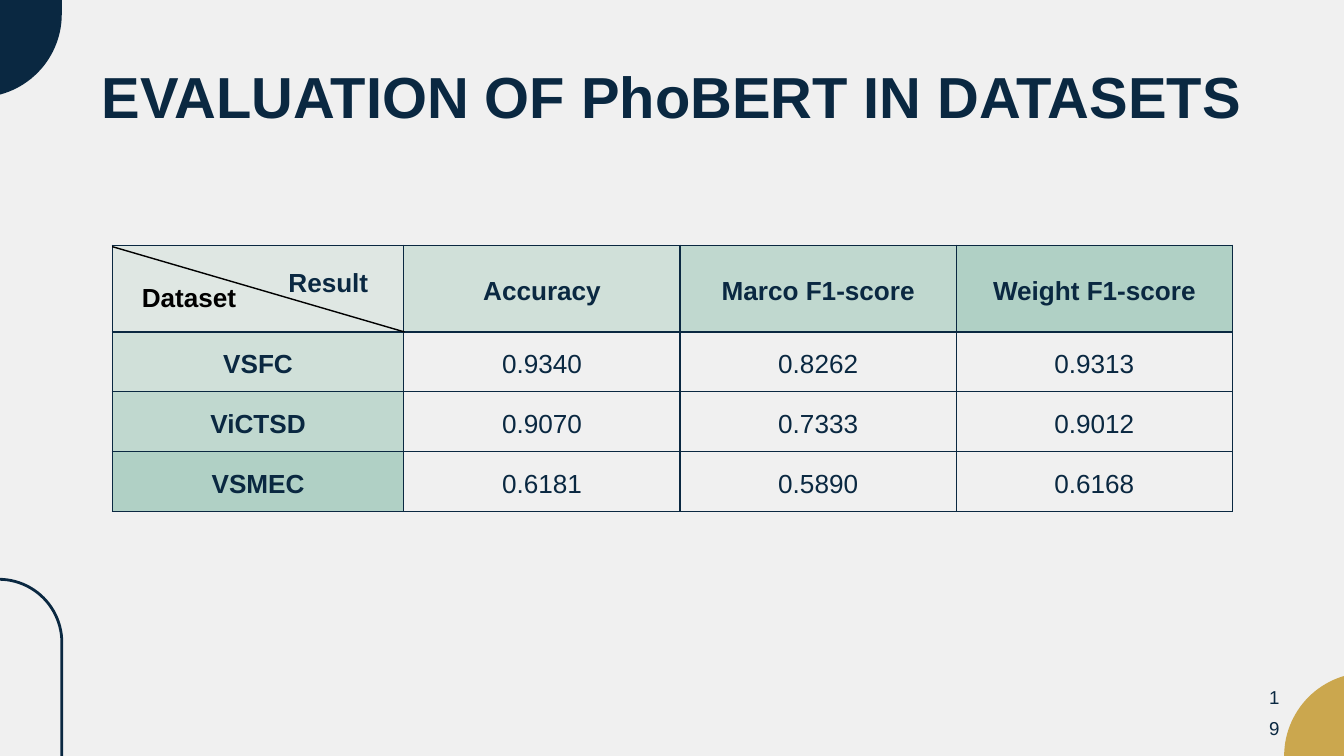
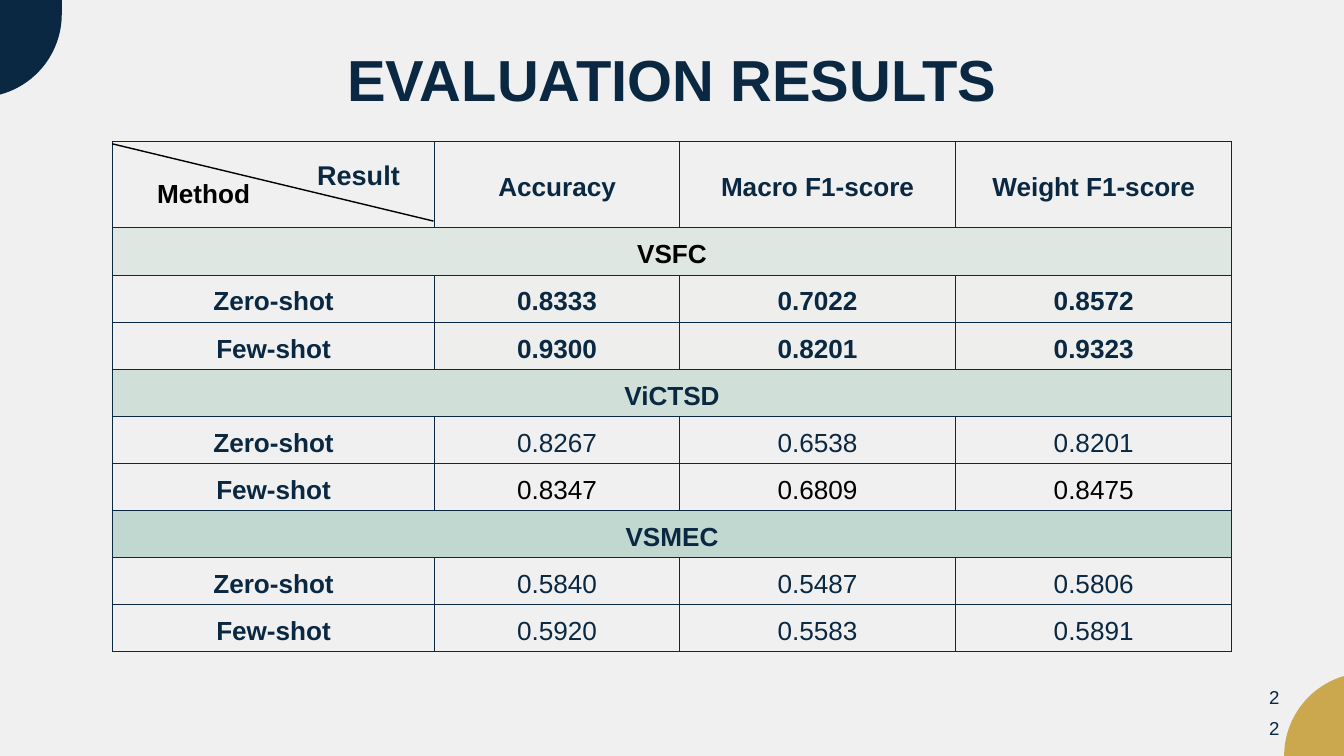
import math

from lxml import etree
from pptx import Presentation
from pptx import util as u
from pptx.dml.color import RGBColor
from pptx.enum import shapes, text
from pptx.oxml import ns

NAVY = RGBColor(0x0A, 0x28, 0x41)
GOLD = RGBColor(0xCB, 0xA7, 0x4E)
BLACK = RGBColor(0, 0, 0)
PAPER = RGBColor(0xF0, 0xF0, 0xF0)
BEST = RGBColor(0xEE, 0xEE, 0xEC)
GREENS = [RGBColor(0xDF, 0xE7, 0xE3), RGBColor(0xD0, 0xE0, 0xD9),
          RGBColor(0xC0, 0xD8, 0xCF), RGBColor(0xB0, 0xD0, 0xC5)]

TABLE_LEFT = 1.67
RADIUS = 1.24
QUARTER = [math.radians(3 * step) for step in range(31)]
NAVY_CORNER = [(-0.32, -0.02), (0.92, -0.02)] + [
    (-0.32 + RADIUS * math.cos(a), 0.21 + RADIUS * math.sin(a)) for a in QUARTER]
GOLD_CORNER = [(20.35, 11.25)] + [
    (20.35 - RADIUS * math.cos(a), 11.25 - RADIUS * math.sin(a)) for a in QUARTER]

PAGES = [
    dict(title="EVALUATION OF PhoBERT IN DATASETS", title_top=0.7, number="19",
         top=3.65, cols=[4.34, 4.11, 4.11, 4.11], heights=[1.29] + [0.89] * 3,
         rows=[["Dataset", "Accuracy", "Marco F1-score", "Weight F1-score"],
               ["VSFC", "0.9340", "0.8262", "0.9313"],
               ["ViCTSD", "0.9070", "0.7333", "0.9012"],
               ["VSMEC", "0.6181", "0.5890", "0.6168"]],
         fills={(0, col): green for col, green in enumerate(GREENS)}
         | {(row, 0): GREENS[row] for row in (1, 2, 3)},
         bold_rows=[0], black_cells=[(0, 0)], corner_indent=0.44,
         diagonal=(3.67, 6.02, 4.94), result=(2.09, 3.78, 28)),
    dict(title="EVALUATION RESULTS", title_top=0.44, number="22",
         top=2.1, cols=[4.8, 3.64, 4.11, 4.11], heights=[1.28, 0.72] + [0.7] * 8,
         rows=[["Method", "Accuracy", "Macro F1-score", "Weight F1-score"],
               ["VSFC"],
               ["Zero-shot", "0.8333", "0.7022", "0.8572"],
               ["Few-shot", "0.9300", "0.8201", "0.9323"],
               ["ViCTSD"],
               ["Zero-shot", "0.8267", "0.6538", "0.8201"],
               ["Few-shot", "0.8347", "0.6809", "0.8475"],
               ["VSMEC"],
               ["Zero-shot", "0.5840", "0.5487", "0.5806"],
               ["Few-shot", "0.5920", "0.5583", "0.5891"]],
         fills={(1, 0): GREENS[0], (4, 0): GREENS[1], (7, 0): GREENS[2]}
         | {(row, col): BEST for row in (2, 3) for col in (1, 2, 3)},
         bold_rows=[0, 2, 3], black_cells=[(0, 0), (1, 0), (6, 1), (6, 2), (6, 3)],
         corner_indent=0.67, diagonal=(2.14, 6.45, 3.29), result=(2.54, 2.16, 29)),
]


def write(frame, words, size, bold=False, color=NAVY, spacing=1.2,
          align=text.PP_ALIGN.CENTER):
    frame.text = words
    frame.word_wrap = True
    paragraph = frame.paragraphs[0]
    paragraph.alignment = align
    paragraph.line_spacing = spacing
    font = paragraph.runs[0].font
    font.name, font.size, font.bold = "Arial", u.Pt(size), bold
    font.color.rgb = color


def add_label(slide, box, words, size, **style):
    frame = slide.shapes.add_textbox(*map(u.Inches, box)).text_frame
    frame.margin_left = frame.margin_right = frame.margin_top = frame.margin_bottom = 0
    write(frame, words, size, **style)


prs = Presentation()
prs.slide_width, prs.slide_height = u.Inches(20), u.Inches(11.25)

for page in PAGES:
    slide = prs.slides.add_slide(prs.slide_layouts[6])
    slide.background.fill.solid()
    slide.background.fill.fore_color.rgb = PAPER

    if page is PAGES[0]:
        arch = slide.shapes.add_shape(
            shapes.MSO_SHAPE.ROUNDED_RECTANGLE,
            u.Inches(-0.96), u.Inches(8.62), u.Inches(1.88), u.Inches(7.95))
        arch.adjustments[0] = 0.5
        arch.shadow.inherit = False
        arch.fill.background()
        arch.line.color.rgb = NAVY
        arch.line.width = u.Pt(3)

    for outline, color in ((NAVY_CORNER, NAVY), (GOLD_CORNER, GOLD)):
        points = [(u.Inches(x), u.Inches(y)) for x, y in outline]
        builder = slide.shapes.build_freeform(*points[0])
        builder.add_line_segments(points[1:], close=True)
        corner = builder.convert_to_shape()
        corner.shadow.inherit = False
        corner.fill.solid()
        corner.fill.fore_color.rgb = color
        corner.line.fill.background()

    add_label(slide, (1.29, page["title_top"], 17.42, 1.05), page["title"], 62, bold=True)

    # Scores
    rows, cols, heights = page["rows"], page["cols"], page["heights"]
    scores = slide.shapes.add_table(
        len(rows), len(cols), u.Inches(TABLE_LEFT), u.Inches(page["top"]),
        u.Inches(sum(cols)), u.Inches(sum(heights))).table
    scores.first_row = scores.horz_banding = False
    for col, width in enumerate(cols):
        scores.columns[col].width = u.Inches(width)
    for row, words in enumerate(rows):
        scores.rows[row].height = u.Inches(heights[row])
        if len(words) == 1:
            scores.cell(row, 0).merge(scores.cell(row, len(cols) - 1))
        for col in range(len(cols)):
            cell = scores.cell(row, col)
            cell.vertical_anchor = text.MSO_ANCHOR.MIDDLE
            cell.margin_left = cell.margin_right = u.Inches(0.02)
            cell.margin_top = cell.margin_bottom = u.Inches(0.02)
            if (row, col) in page["fills"]:
                cell.fill.solid()
                cell.fill.fore_color.rgb = page["fills"][row, col]
            else:
                cell.fill.background()
            props = cell._tc.get_or_add_tcPr()
            for place, side in enumerate(("lnL", "lnR", "lnT", "lnB")):
                border = etree.Element(ns.qn(f"a:{side}"), w=str(u.Pt(1.5)))
                paint = etree.SubElement(border, ns.qn("a:solidFill"))
                etree.SubElement(paint, ns.qn("a:srgbClr"), val=str(NAVY))
                props.insert(place, border)
            if col < len(words):
                write(cell.text_frame, words[col], 28,
                      bold=col == 0 or row in page["bold_rows"],
                      color=BLACK if (row, col) in page["black_cells"] else NAVY)

    # Split header cell: row heading below the diagonal, column heading above
    heading = scores.cell(0, 0)
    heading.margin_left, heading.margin_top = u.Inches(page["corner_indent"]), u.Inches(0.15)
    heading.text_frame.paragraphs[0].alignment = text.PP_ALIGN.LEFT
    heading.text_frame.paragraphs[0].line_spacing = 1.4
    start_y, end_x, end_y = page["diagonal"]
    diagonal = slide.shapes.add_connector(
        shapes.MSO_CONNECTOR.STRAIGHT, u.Inches(TABLE_LEFT), u.Inches(start_y),
        u.Inches(end_x), u.Inches(end_y))
    diagonal.line.color.rgb = BLACK
    diagonal.line.width = u.Pt(1.5)
    etree.SubElement(diagonal._element.spPr, ns.qn("a:effectLst"))
    left, top, size = page["result"]
    add_label(slide, (left, top, 5.59, 0.55), "Result", size, bold=True, spacing=1.4)

    add_label(slide, (18.88, 10.07, 0.17, 0.22), page["number"], 20, spacing=1.4)

prs.save("out.pptx")
